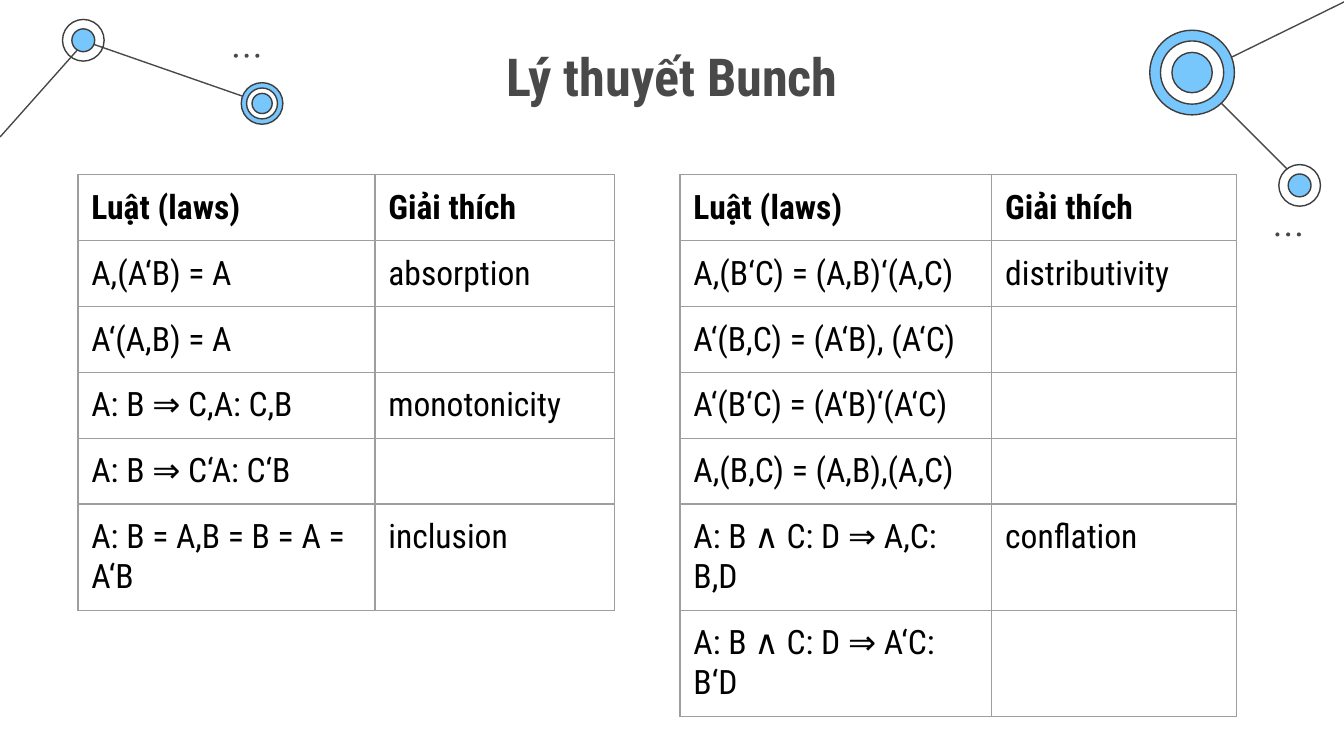
"""Build the slide on bunch theory: two tables of laws and a network decoration."""
from typing import NamedTuple, Optional

import lxml.etree
import pptx
import pptx.dml.color
import pptx.enum.shapes
import pptx.enum.text
import pptx.oxml
import pptx.oxml.ns
import pptx.util
from pptx.util import Inches

FONT = "Roboto Condensed"
BLUE, WHITE, GRAY, OUTLINE = "77C6FC", "FFFFFF", "494949", "3D3D3D"
BLACK, BORDER = "000000", "9E9E9E"
LINE_WIDTH = pptx.util.Pt(0.75)


class Link(NamedTuple):
    start: tuple[float, float]
    end: tuple[float, float]


class Ring(NamedTuple):
    diameter: float
    fill: Optional[str]


class Node(NamedTuple):
    center: tuple[float, float]
    rings: list[Ring]


class Dots(NamedTuple):
    left: float
    top: float


class LawTable(NamedTuple):
    left: float
    column_widths: tuple[float, float]
    laws: list[tuple[str, str]]


LINKS = [
    Link((9.67, 1.35), (8.87, 0.55)),
    Link((0.64, 0.31), (1.96, 0.77)),
    Link((0, 1.02), (0.64, 0.3)),
    Link((10.01, 0.01), (8.91, 0.55)),
]
NODES = [
    Node((0.62, 0.3), [Ring(0.31, None), Ring(0.17, BLUE)]),
    Node((1.95, 0.77), [Ring(0.31, BLUE), Ring(0.23, WHITE), Ring(0.15, BLUE)]),
    Node((8.87, 0.54), [Ring(0.63, BLUE), Ring(0.47, WHITE), Ring(0.3, BLUE)]),
    Node((9.67, 1.38), [Ring(0.31, WHITE), Ring(0.17, BLUE)]),
]
DOTS = [Dots(1.74, 0.4), Dots(9.49, 1.73)]
HEADER = ("Luật (laws)", "Giải thích")
TABLES = [
    LawTable(5.06, (2.32, 1.82), [
        ("A,(B‘C) = (A,B)‘(A,C)", "distributivity"),
        ("A‘(B,C) = (A‘B), (A‘C)", ""),
        ("A‘(B‘C) = (A‘B)‘(A‘C)", ""),
        ("A,(B,C) = (A,B),(A,C)", ""),
        ("A: B ∧ C: D ⇒ A,C: B,D", "conflation"),
        ("A: B ∧ C: D ⇒ A‘C: B‘D", ""),
    ]),
    LawTable(0.58, (2.21, 1.78), [
        ("A,(A‘B) = A", "absorption"),
        ("A‘(A,B) = A", ""),
        ("A: B ⇒ C,A: C,B", "monotonicity"),
        ("A: B ⇒ C‘A: C‘B", ""),
        ("A: B = A,B = B = A = A‘B", "inclusion"),
    ]),
]


def color(value: str) -> pptx.dml.color.RGBColor:
    return pptx.dml.color.RGBColor.from_string(value)


def set_font(paragraph, size: float, value: str, bold: bool) -> None:
    font = paragraph.font
    font.name, font.size, font.bold = FONT, pptx.util.Pt(size), bold
    font.color.rgb = color(value)


def set_margins(frame, bottom: float = 0.1) -> None:
    frame.margin_left = frame.margin_right = frame.margin_top = Inches(0.1)
    frame.margin_bottom = Inches(bottom)


def add_link(slide, link: Link) -> None:
    connector = slide.shapes.add_connector(
        pptx.enum.shapes.MSO_CONNECTOR.STRAIGHT,
        *(Inches(value) for value in link.start + link.end))
    connector.line.color.rgb = color(GRAY)
    connector.line.width = LINE_WIDTH
    lxml.etree.SubElement(connector._element.spPr, pptx.oxml.ns.qn("a:effectLst"))


def add_circle(slide, left: float, top: float, diameter: float,
               fill: Optional[str], outline: Optional[str] = None) -> None:
    shape = slide.shapes.add_shape(
        pptx.enum.shapes.MSO_SHAPE.OVAL,
        Inches(left), Inches(top), Inches(diameter), Inches(diameter))
    shape.shadow.inherit = False
    if fill:
        shape.fill.solid()
        shape.fill.fore_color.rgb = color(fill)
    else:
        shape.fill.background()
    if outline:
        shape.line.color.rgb = color(outline)
        shape.line.width = LINE_WIDTH
    else:
        shape.line.fill.background()


def add_node(slide, node: Node) -> None:
    x, y = node.center
    for ring in node.rings:
        radius = ring.diameter / 2
        add_circle(slide, x - radius, y - radius, ring.diameter, ring.fill, OUTLINE)


def add_dots(slide, dots: Dots) -> None:
    for index in range(3):
        add_circle(slide, dots.left + 0.08 * index, dots.top, 0.03, GRAY)


def add_title(slide, text: str) -> None:
    box = slide.shapes.add_textbox(Inches(0.79), Inches(0.23), Inches(8.42), Inches(0.63))
    frame = box.text_frame
    frame.word_wrap = True
    set_margins(frame)
    paragraph = frame.paragraphs[0]
    paragraph.text = text
    paragraph.alignment = pptx.enum.text.PP_ALIGN.CENTER
    set_font(paragraph, 28, GRAY, True)


def set_borders(cell) -> None:
    properties = cell._tc.get_or_add_tcPr()
    for side in ("lnL", "lnR", "lnT", "lnB"):
        properties.append(pptx.oxml.parse_xml(
            f'<a:{side} {pptx.oxml.ns.nsdecls("a")} w="{LINE_WIDTH}"><a:solidFill>'
            f'<a:srgbClr val="{BORDER}"/></a:solidFill></a:{side}>'))


def add_law_table(slide, law_table: LawTable) -> None:
    rows = [HEADER, *law_table.laws]
    row_height = Inches(0.41)
    table = slide.shapes.add_table(
        len(rows), len(HEADER), Inches(law_table.left), Inches(1.3),
        Inches(sum(law_table.column_widths)), row_height * len(rows)).table
    table.first_row = table.horz_banding = False
    for column, width in zip(table.columns, law_table.column_widths):
        column.width = Inches(width)
    for row_index, texts in enumerate(rows):
        table.rows[row_index].height = row_height
        for column_index, text in enumerate(texts):
            cell = table.cell(row_index, column_index)
            set_margins(cell, bottom=0.09)
            set_borders(cell)
            cell.fill.background()
            paragraph = cell.text_frame.paragraphs[0]
            if text:
                paragraph.text = text
            set_font(paragraph, 18, BLACK, row_index == 0)


def main() -> None:
    presentation = pptx.Presentation()
    presentation.slide_width = Inches(10)
    presentation.slide_height = Inches(10 * 9 / 16)
    slide = presentation.slides.add_slide(presentation.slide_layouts[6])
    for link in LINKS:
        add_link(slide, link)
    for node in NODES:
        add_node(slide, node)
    for dots in DOTS:
        add_dots(slide, dots)
    add_title(slide, "Lý thuyết Bunch")
    for law_table in TABLES:
        add_law_table(slide, law_table)
    presentation.save("out.pptx")


if __name__ == "__main__":
    main()
